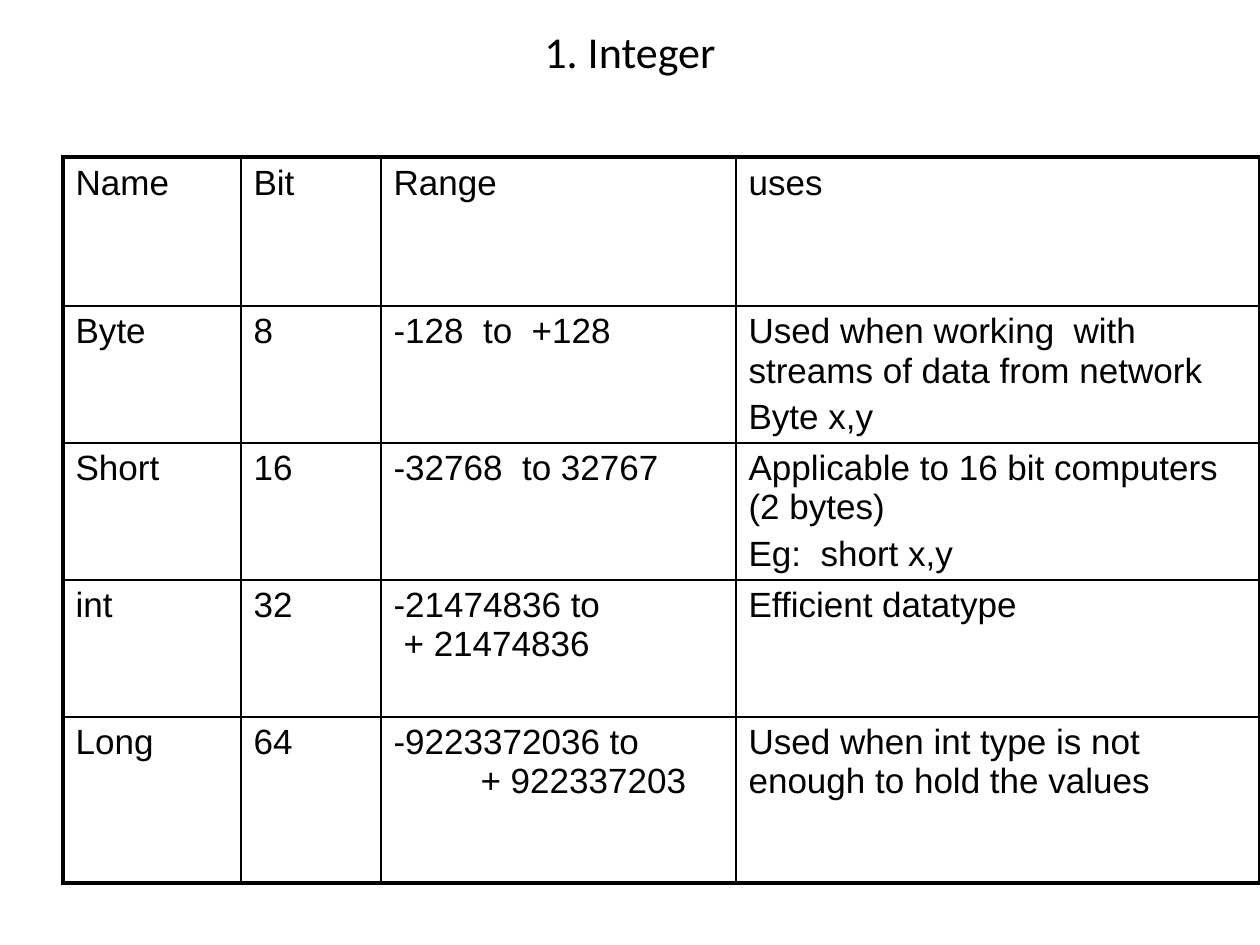
from lxml import etree
from pptx import Presentation
from pptx.dml.color import RGBColor
from pptx.enum.text import MSO_ANCHOR, MSO_AUTO_SIZE, PP_ALIGN
from pptx.oxml.ns import qn
from pptx.util import Pt

PX = 914400 // 126
COLORS = {"ink": "000000", "paper": "FFFFFF"}
THIN, THICK = Pt(1), Pt(2.25)
COLUMN_WIDTHS = [178, 140, 355, 524]
ROW_HEIGHTS = [149, 137, 137, 137, 166]
INTEGER_TYPES = [
    ["Name", "Bit", "Range", "uses"],
    ["Byte", "8", "-128  to  +128",
     "Used when working  with streams of data from network\nByte x,y"],
    ["Short", "16", "-32768  to 32767",
     "Applicable to 16 bit computers (2 bytes)\nEg:  short x,y"],
    ["int", "32", "-21474836 to\v+ 21474836", "Efficient datatype"],
    ["Long", "64", "-9223372036 to\v+ 922337203",
     "Used when int type is not enough to hold the values"],
]
HANGING_INDENTS = {"int": 10, "Long": 87}


def format_font(font, name, size):
    """Apply typeface, size and ink colour to a font."""
    for attribute, value in {"name": name, "size": Pt(size), "bold": False}.items():
        setattr(font, attribute, value)
    font.color.rgb = RGBColor.from_string(COLORS["ink"])


def add_borders(cell, widths):
    """Draw solid borders on a cell, given widths by side tag."""
    properties = cell._tc.get_or_add_tcPr()
    for position, (side, width) in enumerate(widths.items()):
        line = etree.Element(qn(f"a:{side}"), w=str(width))
        fill = etree.SubElement(line, qn("a:solidFill"))
        etree.SubElement(fill, qn("a:srgbClr"), val=COLORS["ink"])
        properties.insert(position, line)


presentation = Presentation()
presentation.slide_width = 1260 * PX
presentation.slide_height = 945 * PX
slide = presentation.slides.add_slide(presentation.slide_layouts[5])
slide.background.fill.solid()
slide.background.fill.fore_color.rgb = RGBColor.from_string(COLORS["paper"])

heading = slide.shapes.title
for attribute, pixels in {"left": 63, "top": 12, "width": 1134, "height": 78}.items():
    setattr(heading, attribute, pixels * PX)
heading.text_frame.text = "1. Integer"
heading.text_frame.auto_size = MSO_AUTO_SIZE.NONE
heading.text_frame.vertical_anchor = MSO_ANCHOR.MIDDLE
heading.text_frame.paragraphs[0].alignment = PP_ALIGN.CENTER
format_font(heading.text_frame.paragraphs[0].runs[0].font, "Calibri", 25.2)

type_table = slide.shapes.add_table(
    len(ROW_HEIGHTS), len(COLUMN_WIDTHS), 63 * PX, 157 * PX,
    sum(COLUMN_WIDTHS) * PX, sum(ROW_HEIGHTS) * PX).table
type_table.first_row = type_table.horz_banding = False
for column, width in zip(type_table.columns, COLUMN_WIDTHS):
    column.width = width * PX
for row, height in zip(type_table.rows, ROW_HEIGHTS):
    row.height = height * PX

last_row, last_column = len(ROW_HEIGHTS) - 1, len(COLUMN_WIDTHS) - 1
for r, entries in enumerate(INTEGER_TYPES):
    for c, entry in enumerate(entries):
        cell = type_table.cell(r, c)
        cell.text_frame.text = entry
        if r == 0:
            cell.fill.solid()
            cell.fill.fore_color.rgb = RGBColor.from_string(COLORS["paper"])
        else:
            cell.fill.background()
        add_borders(cell, {
            "lnL": THICK if c == 0 else THIN,
            "lnR": THICK if c == last_column else THIN,
            "lnT": THICK if r == 0 else THIN,
            "lnB": THICK if r == last_row else THIN,
        })
        for number, paragraph in enumerate(cell.text_frame.paragraphs):
            paragraph.space_before = Pt(4 if number else 0)
            for run in paragraph.runs:
                format_font(run.font, "Arial", 20)
            if "\v" in entry:
                indent = HANGING_INDENTS[entries[0]] * PX
                layout = paragraph._p.get_or_add_pPr()
                layout.set("marL", str(indent))
                layout.set("indent", str(-indent))

presentation.save("out.pptx")
